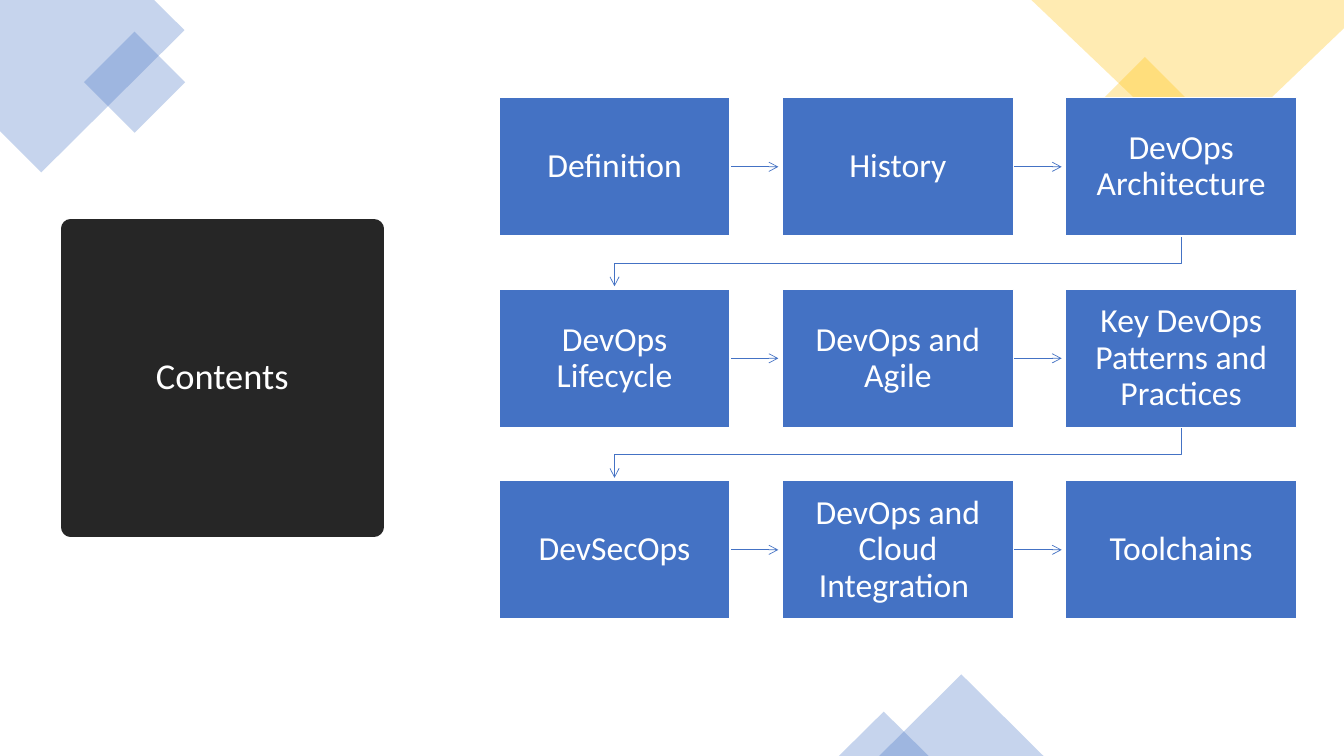
from dataclasses import dataclass
from typing import Any

from lxml import etree
from pptx import Presentation
from pptx import util as u
from pptx.dml import color
from pptx.enum import shapes, text
from pptx.oxml import ns

BLUE, GOLD, DARK, WHITE = "4472C4", "FFC000", "262626", "FFFFFF"
KIND = shapes.MSO_SHAPE
Points = list[tuple[float, float]]


@dataclass
class Box:
    left: float
    top: float
    width: float
    height: float


@dataclass
class Accent:
    kind: Any
    box: Box
    hue: str
    turn: float = 0


@dataclass
class Patch:
    points: Points
    hue: str


# Soft corner decoration
PATCHES = [
    Patch([(1.53, 0), (0, 0), (0, 1.3), (0.41, 1.71), (1.83, 0.3)], BLUE),
    Patch([(13.33, 0), (10.23, 0), (11.93, 1.62), (13.33, 0.28)], GOLD),
]
ACCENTS = [
    Accent(KIND.RECTANGLE, Box(0.98, 0.46, 0.71, 0.71), BLUE, 315),
    Accent(KIND.RECTANGLE, Box(10.98, 0.72, 0.75, 0.75), GOLD, 315),
    Accent(KIND.ISOSCELES_TRIANGLE, Box(8.72, 6.69, 1.63, 0.81), BLUE),
    Accent(KIND.ISOSCELES_TRIANGLE, Box(8.32, 7.06, 0.89, 0.44), BLUE),
]

# Topics, read row by row
TOPICS = [
    "Definition", "History", "DevOps Architecture",
    "DevOps Lifecycle", "DevOps and Agile", "Key DevOps Patterns and Practices",
    "DevSecOps", "DevOps and Cloud Integration ", "Toolchains",
]
COLS = 3
LEFT, TOP = 4.95, 0.97
WIDE, HIGH = 2.29, 1.37
STEP_X, STEP_Y = 2.81, 1.9

FRAME = {
    "word_wrap": True,
    "vertical_anchor": text.MSO_ANCHOR.MIDDLE,
    "margin_left": u.Inches(0.11),
    "margin_right": u.Inches(0.11),
    "margin_top": u.Inches(0.12),
    "margin_bottom": u.Inches(0.12),
}
PARA = {"alignment": text.PP_ALIGN.CENTER, "line_spacing": 0.9}


def apply(target: Any, values: dict[str, Any]) -> None:
    for name, value in values.items():
        setattr(target, name, value)


def rgb(hue: str) -> color.RGBColor:
    return color.RGBColor.from_string(hue)


def paint(shape: Any, hue: str, alpha: int = 100) -> None:
    shape.shadow.inherit = False
    shape.fill.solid()
    shape.fill.fore_color.rgb = rgb(hue)
    if alpha < 100:
        tint = shape.fill._xPr.find(".//" + ns.qn("a:srgbClr"))
        etree.SubElement(tint, ns.qn("a:alpha"), val=str(alpha * 1000))


def outline(shape: Any, hue: str, width: float) -> Any:
    shape.line.color.rgb = rgb(hue)
    shape.line.width = u.Pt(width)
    return shape.line._get_or_add_ln()


def add_box(slide: Any, kind: Any, box: Box) -> Any:
    return slide.shapes.add_shape(
        kind, u.Inches(box.left), u.Inches(box.top),
        u.Inches(box.width), u.Inches(box.height))


def add_path(slide: Any, points: Points, close: bool) -> Any:
    spots = [(u.Inches(x), u.Inches(y)) for x, y in points]
    pen = slide.shapes.build_freeform(*spots[0])
    pen.add_line_segments(spots[1:], close=close)
    return pen.convert_to_shape()


def write(shape: Any, words: str, size: float) -> None:
    frame = shape.text_frame
    apply(frame, FRAME)
    para = frame.paragraphs[0]
    apply(para, PARA)
    run = para.add_run()
    run.text = words
    apply(run.font, {"name": "Calibri", "size": u.Pt(size)})
    run.font.color.rgb = rgb(WHITE)


def add_arrow(slide: Any, points: Points) -> None:
    if len(points) == 2:
        ends = [u.Inches(value) for point in points for value in point]
        arrow = slide.shapes.add_connector(shapes.MSO_CONNECTOR.STRAIGHT, *ends)
        etree.SubElement(arrow._element.spPr, ns.qn("a:effectLst"))
    else:
        arrow = add_path(slide, points, False)
        arrow.shadow.inherit = False
        arrow.fill.background()
    line = outline(arrow, BLUE, 0.5)
    etree.SubElement(line, ns.qn("a:tailEnd"), type="arrow")


def add_topic(slide: Any, index: int, words: str) -> None:
    row, col = divmod(index, COLS)
    x, y = LEFT + col * STEP_X, TOP + row * STEP_Y

    # Arrow to the next topic: across, or down to a new row
    if col < COLS - 1:
        mid = y + HIGH / 2
        add_arrow(slide, [(x + 2.28, mid), (x + 2.77, mid)])
    elif index < len(TOPICS) - 1:
        start, end, low = x + WIDE / 2, LEFT + WIDE / 2, y + HIGH
        add_arrow(slide, [(start, low), (start, low + 0.27),
                          (end, low + 0.27), (end, low + 0.5)])

    card = add_box(slide, KIND.RECTANGLE, Box(x, y, WIDE, HIGH))
    paint(card, BLUE)
    outline(card, WHITE, 1)
    write(card, words, 24)


def main() -> None:
    deck = Presentation()
    apply(deck, {"slide_width": u.Inches(13.33), "slide_height": u.Inches(7.5)})
    slide = deck.slides.add_slide(deck.slide_layouts[6])

    # Decoration
    for patch in PATCHES:
        shape = add_path(slide, patch.points, True)
        paint(shape, patch.hue, 30)
        shape.line.fill.background()
    for accent in ACCENTS:
        shape = add_box(slide, accent.kind, accent.box)
        shape.rotation = accent.turn
        paint(shape, accent.hue, 30)
        shape.line.fill.background()

    # Title block, its corners rounded by the thick outline
    title = add_box(slide, KIND.RECTANGLE, Box(0.7, 2.27, 3.01, 2.96))
    paint(title, DARK)
    etree.SubElement(outline(title, DARK, 13.75), ns.qn("a:round"))
    write(title, "Contents", 26)

    # Topic grid
    for index, words in enumerate(TOPICS):
        add_topic(slide, index, words)

    deck.save("out.pptx")


if __name__ == "__main__":
    main()
